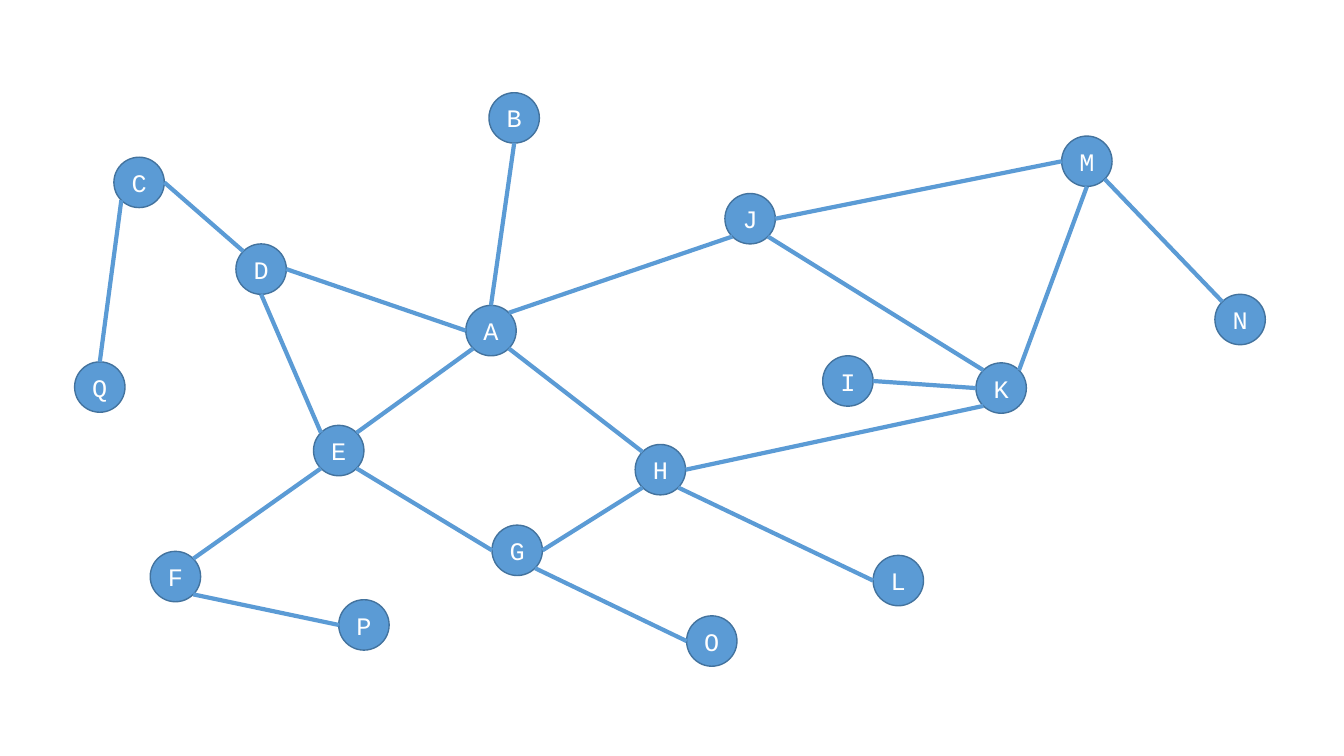
import math

from lxml import etree
from pptx import Presentation
from pptx import util as u
from pptx.dml.color import RGBColor
from pptx.enum import shapes, text
from pptx.oxml import ns

CELL = 0.5  # inches per grid column and row; a node fills one cell
COLORS = {"node": "5B9BD5", "outline": "43739E", "edge": "5B9BD5", "label": "FFFFFF"}

# Connection sites of a node, counter-clockwise from the top
SITES = ["top", "top left", "left", "bottom left",
         "bottom", "bottom right", "right", "top right"]

# Column and row of each node's top left corner
NODES = {
    "A": (9.24, 6.06), "B": (9.7, 1.84), "C": (2.26, 3.12), "D": (4.68, 4.84),
    "E": (6.22, 8.44), "F": (2.98, 10.94), "G": (9.76, 10.42), "H": (12.6, 8.82),
    "I": (16.32, 7.06), "J": (14.38, 3.84), "K": (19.36, 7.2), "L": (17.32, 11.02),
    "M": (21.06, 2.7), "N": (24.1, 5.84), "O": (13.62, 12.22), "P": (6.72, 11.9),
    "Q": (1.48, 7.18),
}

EDGES = [
    ("A", "top", "B", "bottom"),
    ("A", "left", "D", "right"),
    ("A", "bottom left", "E", "top right"),
    ("A", "bottom right", "H", "top left"),
    ("A", "top right", "J", "bottom left"),
    ("D", "top left", "C", "right"),
    ("Q", "top", "C", "bottom left"),
    ("E", "bottom left", "F", "top right"),
    ("P", "left", "F", "bottom right"),
    ("G", "left", "E", "bottom right"),
    ("G", "right", "H", "bottom left"),
    ("G", "bottom right", "O", "left"),
    ("H", "bottom right", "L", "left"),
    ("H", "right", "K", "bottom left"),
    ("I", "right", "K", "left"),
    ("M", "bottom", "K", "top right"),
    ("M", "bottom right", "N", "top left"),
    ("J", "right", "M", "left"),
    ("J", "bottom right", "K", "top left"),
    ("E", "top left", "D", "bottom"),
]


def grid(cells):
    """Turn a number of grid cells into a length."""
    return u.Inches(cells * CELL)


def color(name):
    """Look up a named colour."""
    return RGBColor.from_string(COLORS[name])


def write_text(shape, wording, size=18, font="Courier New", fill="label",
               align=text.PP_ALIGN.CENTER, anchor=text.MSO_ANCHOR.MIDDLE):
    """Write one formatted paragraph into a shape without margins."""
    frame = shape.text_frame
    frame.margin_left = frame.margin_right = 0
    frame.margin_top = frame.margin_bottom = 0
    frame.word_wrap = True
    frame.vertical_anchor = anchor
    paragraph = frame.paragraphs[0]
    paragraph.alignment = align
    run = paragraph.add_run()
    run.text = wording
    run.font.size = u.Pt(size)
    run.font.name = font
    run.font.color.rgb = color(fill)


def add_node(slide, label, column, row):
    """Add a labelled round node that fills one grid cell."""
    shape = slide.shapes.add_shape(shapes.MSO_SHAPE.FLOWCHART_CONNECTOR,
                                   grid(column), grid(row), grid(1), grid(1))
    shape.shadow.inherit = False
    shape.fill.solid()
    shape.fill.fore_color.rgb = color("node")
    shape.line.color.rgb = color("outline")
    shape.line.width = u.Pt(1)
    write_text(shape, label)
    return shape


def site_point(node, site):
    """Find the place of a connection site on a node's rim."""
    angle = SITES.index(site) * math.tau / len(SITES)
    radius = node.width / 2
    return (round(node.left + radius * (1 - math.sin(angle))),
            round(node.top + radius * (1 - math.cos(angle))))


def add_edge(slide, start, start_site, end, end_site):
    """Join two nodes with a line glued to their connection sites."""
    connector = slide.shapes.add_connector(
        shapes.MSO_CONNECTOR.STRAIGHT,
        *site_point(start, start_site), *site_point(end, end_site))
    connector.line.color.rgb = color("edge")
    connector.line.width = u.Pt(3)
    element = connector.element
    etree.SubElement(element.spPr, ns.qn("a:effectLst"))
    glue = element.find(".//" + ns.qn("p:cNvCxnSpPr"))
    for tag, node, site in (("a:stCxn", start, start_site), ("a:endCxn", end, end_site)):
        etree.SubElement(glue, ns.qn(tag), id=str(node.shape_id),
                         idx=str(SITES.index(site)))


def main():
    """Build the network graph slide."""
    presentation = Presentation()
    presentation.slide_width = u.Inches(13.33)
    presentation.slide_height = u.Inches(7.5)
    slide = presentation.slides.add_slide(presentation.slide_layouts[6])
    nodes = {label: add_node(slide, label, *place) for label, place in NODES.items()}
    for start, start_site, end, end_site in EDGES:
        add_edge(slide, nodes[start], start_site, nodes[end], end_site)
    presentation.save("out.pptx")


main()
